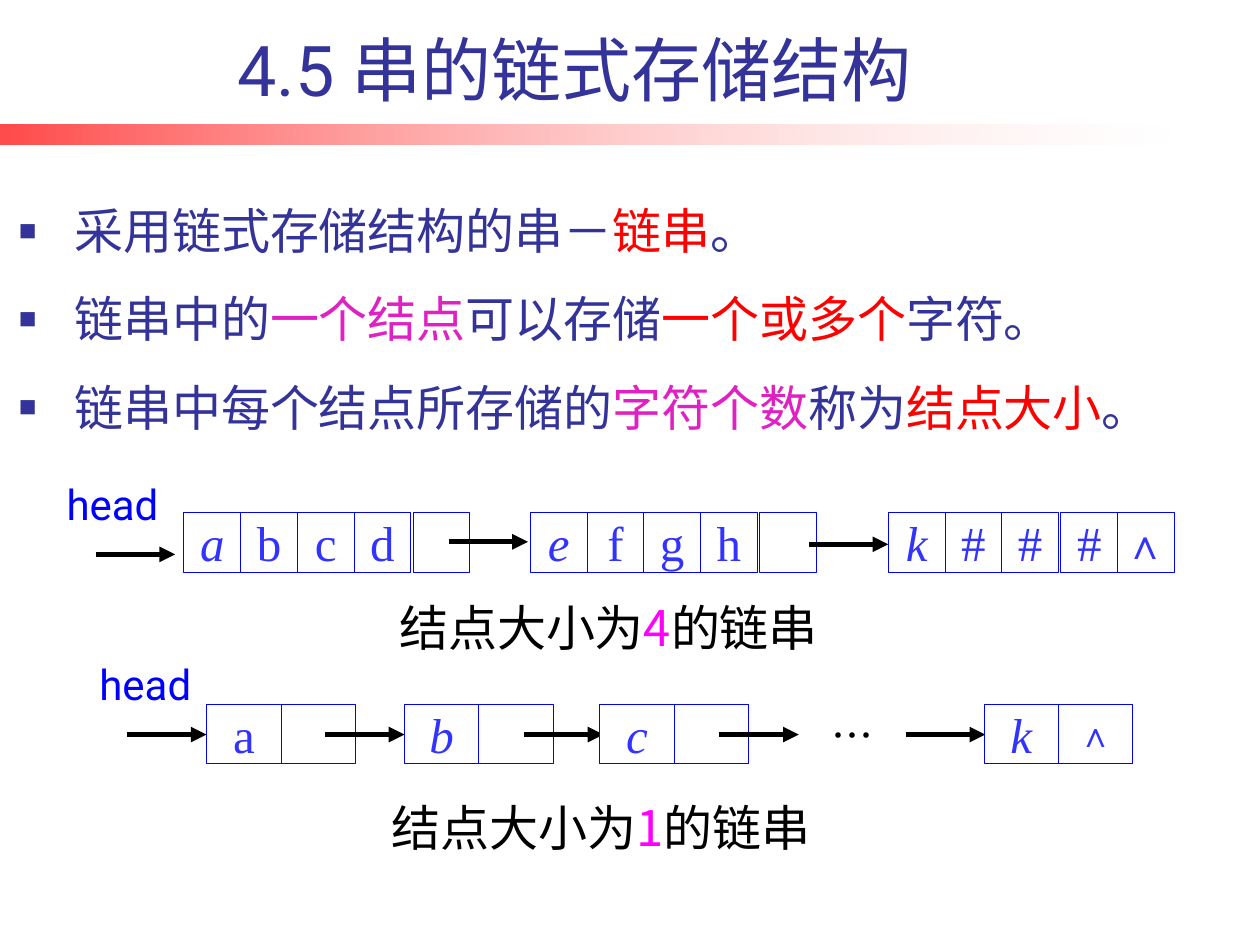
from dataclasses import dataclass
from typing import Optional

from lxml import etree
from pptx import Presentation
from pptx import util as u
from pptx.dml.color import RGBColor
from pptx.enum import shapes, text
from pptx.oxml import ns

NAVY = RGBColor(0x33, 0x33, 0x99)
RED = RGBColor(0xFF, 0x00, 0x00)
PURPLE = RGBColor(0xDF, 0x21, 0xC4)
MAGENTA = RGBColor(0xFF, 0x00, 0xFF)
BLUE = RGBColor(0x00, 0x00, 0xFF)
LETTER = RGBColor(0x33, 0x33, 0xFF)
BLACK = RGBColor(0x00, 0x00, 0x00)
WHITE = RGBColor(0xFF, 0xFF, 0xFF)
SANS, LATIN, SERIF = "Noto Sans CJK SC", "Roboto", "Times New Roman"


@dataclass
class Node:
    left: float
    cells: str
    italic: bool = True
    gap_at: int = 9


@dataclass
class Arrow:
    left: float
    y: float


@dataclass
class Chain:
    top: float
    cell_width: float
    end_size: int
    steps: list


@dataclass
class Label:
    left: float
    top: float
    width: float
    height: float
    runs: list
    size: int
    font: str = SANS
    pitch: Optional[float] = None
    align: text.PP_ALIGN = text.PP_ALIGN.LEFT


BULLETS = [
    [("采用链式存储结构的串－", NAVY), ("链串", RED), ("。", NAVY)],
    [("链串中的", NAVY), ("一个结点", PURPLE), ("可以存储", NAVY),
     ("一个或多个", RED), ("字符。", NAVY)],
    [("链串中每个结点所存储的", NAVY), ("字符个数", PURPLE), ("称为", NAVY),
     ("结点大小", RED), ("。", NAVY)],
]
CHAINS = [
    Chain(4.07, 0.45, 24, [
        Arrow(0.76, 4.4), Node(1.46, "abcd ", gap_at=4),
        Arrow(3.56, 4.3), Node(4.21, "efgh ", gap_at=4),
        Arrow(6.42, 4.32), Node(7.05, "k###∧", gap_at=3)]),
    Chain(5.59, 0.59, 20, [
        Arrow(1.01, 5.83), Node(1.64, "a ", italic=False),
        Arrow(2.58, 5.83), Node(3.21, "b "),
        Arrow(4.16, 5.83), Node(4.76, "c "),
        Arrow(5.71, 5.83), Arrow(7.19, 5.83), Node(7.81, "k∧")]),
]


def caption(digit: str) -> list:
    return [("结点大小为", BLACK), (digit, MAGENTA), ("的链串", BLACK)]


LABELS = [
    Label(0.43, 3.75, 0.93, 0.5, [("head", BLUE)], 24, LATIN),
    Label(3.07, 4.69, 5.11, 0.57, caption("4"), 28, pitch=33.6),
    Label(0.69, 5.18, 0.93, 0.5, [("head", BLUE)], 24, LATIN),
    Label(6.45, 5.58, 0.63, 0.5, [("…", BLACK)], 24, pitch=28.8,
          align=text.PP_ALIGN.CENTER),
    Label(3.01, 6.28, 4.47, 0.57, caption("1"), 28, pitch=33.6),
]


def write(p, content: str, *, size: float, color: RGBColor, font: str,
          italic: bool = False) -> None:
    r = p.add_run()
    r.text = content
    r.font.size = u.Pt(size)
    r.font.name = font
    r.font.italic = italic
    r.font.color.rgb = color
    latin = r.font._element.find(ns.qn("a:latin"))
    ea = etree.Element(ns.qn("a:ea"), typeface=font)
    latin.addnext(ea)


def place(sp, left: float, top: float, width: float, height: float) -> None:
    sp.left, sp.top = u.Inches(left), u.Inches(top)
    sp.width, sp.height = u.Inches(width), u.Inches(height)


def draw_rect(slide, left: float, top: float, width: float, height: float):
    sp = slide.shapes.add_shape(
        shapes.MSO_SHAPE.RECTANGLE, u.Inches(left), u.Inches(top),
        u.Inches(width), u.Inches(height))
    sp.shadow.inherit = False
    return sp


def draw_bar(slide) -> None:
    sp = draw_rect(slide, 0, 0.99, 9.29, 0.16)
    sp.line.fill.background()
    sp.fill.gradient()
    sp.fill.gradient_angle = 0
    stops = zip(sp.fill.gradient_stops, (RED, WHITE), (0, 1), ("71000", "18000"))
    for stop, color, position, alpha in stops:
        stop.color.rgb = color
        stop.position = position
        for clr in sp._element.iter(ns.qn("a:srgbClr")):
            if clr.get("val") == str(color):
                etree.SubElement(clr, ns.qn("a:alpha"), val=alpha)


def draw_arrow(slide, arrow: Arrow) -> None:
    y = u.Inches(arrow.y)
    line = slide.shapes.add_connector(
        shapes.MSO_CONNECTOR.STRAIGHT, u.Inches(arrow.left), y,
        u.Inches(arrow.left + 0.63), y)
    line.line.color.rgb = BLACK
    line.line.width = u.Pt(3)
    etree.SubElement(line.line._get_or_add_ln(), ns.qn("a:tailEnd"), type="triangle")
    etree.SubElement(line._element.spPr, ns.qn("a:effectLst"))


def draw_node(slide, node: Node, chain: Chain) -> None:
    for i, letter in enumerate(node.cells):
        left = node.left + i * chain.cell_width + (0.02 if i >= node.gap_at else 0)
        sp = draw_rect(slide, left, chain.top, chain.cell_width, 0.47)
        sp.fill.solid()
        sp.fill.fore_color.rgb = WHITE
        sp.line.color.rgb = BLUE
        sp.line.width = u.Pt(0.5)
        if letter == " ":
            continue
        tf = sp.text_frame
        tf.word_wrap = False
        tf.vertical_anchor = text.MSO_ANCHOR.MIDDLE
        p = tf.paragraphs[0]
        p.alignment = text.PP_ALIGN.CENTER
        write(p, letter, size=chain.end_size if letter == "∧" else 28,
              color=LETTER, font=SERIF, italic=node.italic and i == 0)


def draw_label(slide, label: Label) -> None:
    sp = slide.shapes.add_textbox(0, 0, 0, 0)
    place(sp, label.left, label.top, label.width, label.height)
    sp.text_frame.word_wrap = True
    p = sp.text_frame.paragraphs[0]
    p.alignment = label.align
    if label.pitch:
        p.line_spacing = u.Pt(label.pitch)
    for content, color in label.runs:
        write(p, content, size=label.size, color=color, font=label.font)


def fill_title(sp) -> None:
    place(sp, 0.23, 0.22, 8.52, 0.71)
    tf = sp.text_frame
    tf.auto_size = text.MSO_AUTO_SIZE.NONE
    tf.vertical_anchor = text.MSO_ANCHOR.BOTTOM
    p = tf.paragraphs[0]
    p.alignment = text.PP_ALIGN.CENTER
    write(p, " 4.5 串的链式存储结构", size=40, color=NAVY, font=LATIN)


def fill_body(sp) -> None:
    place(sp, 0.05, 1.31, 9.69, 2.22)
    tf = sp.text_frame
    tf.auto_size = text.MSO_AUTO_SIZE.NONE
    for i, runs in enumerate(BULLETS):
        p = tf.add_paragraph() if i else tf.paragraphs[0]
        p.level = 1
        p.line_spacing = u.Pt(50.4)
        p.space_before = u.Pt(0)
        pPr = p._p.get_or_add_pPr()
        pPr.set("marL", str(u.Inches(0.44)))
        pPr.set("indent", str(u.Inches(-0.5)))
        etree.SubElement(pPr, ns.qn("a:buSzPct"), val="60000")
        etree.SubElement(pPr, ns.qn("a:buChar"), char="■")
        for content, color in runs:
            write(p, content, size=28, color=color, font=SANS)


def main() -> None:
    prs = Presentation()
    prs.slide_width, prs.slide_height = u.Inches(10), u.Inches(7.5)
    slide = prs.slides.add_slide(prs.slide_layouts[1])
    draw_bar(slide)
    fill_title(slide.shapes.title)
    fill_body(slide.placeholders[1])
    for chain in CHAINS:
        for step in chain.steps:
            if isinstance(step, Arrow):
                draw_arrow(slide, step)
            else:
                draw_node(slide, step, chain)
    for label in LABELS:
        draw_label(slide, label)
    prs.save("out.pptx")


main()
